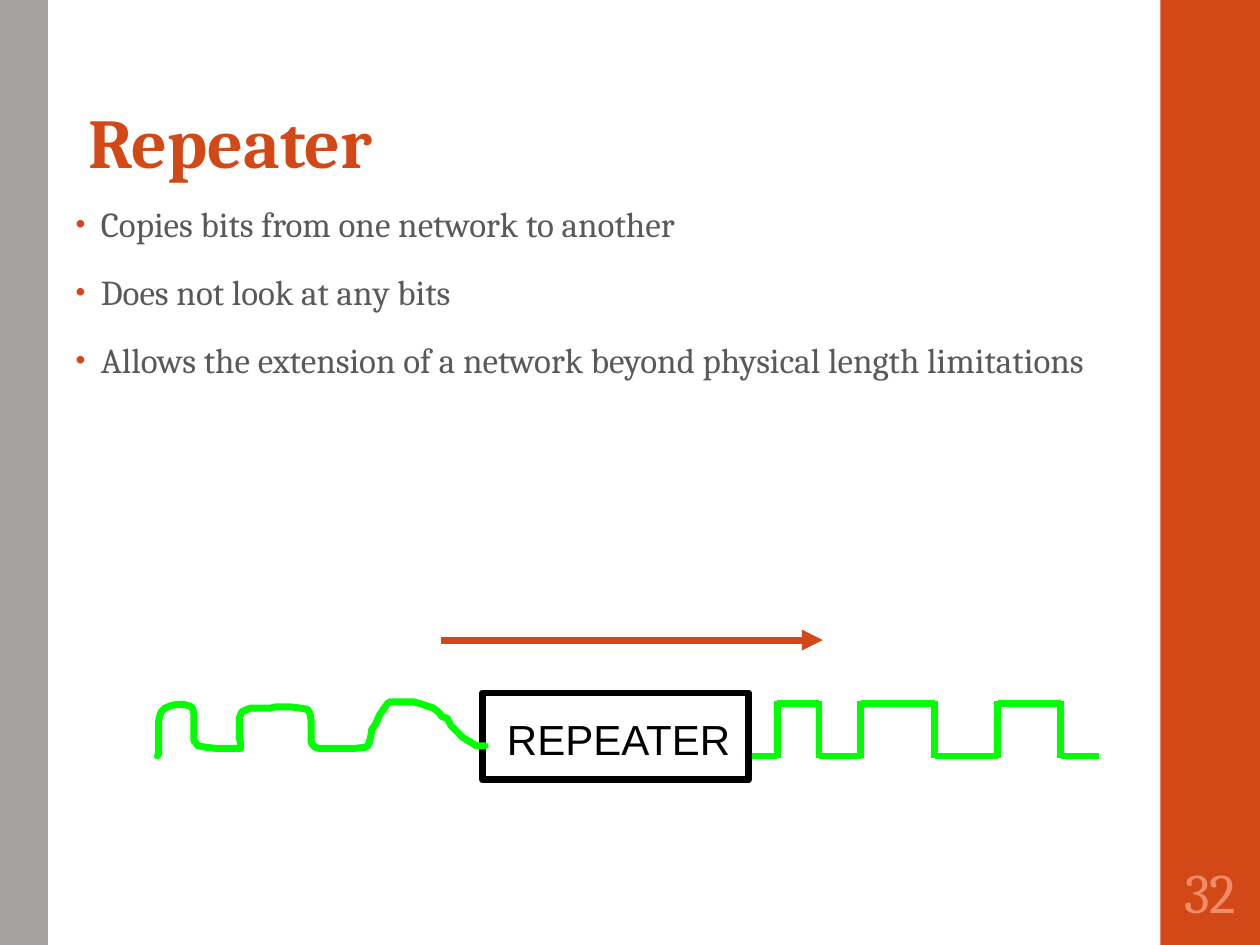
"""Build the slide that explains what a network repeater does."""
from lxml.etree import SubElement
from pptx import Presentation
from pptx.dml.color import RGBColor
from pptx.enum.shapes import MSO_CONNECTOR as Connector, MSO_SHAPE as Shape
from pptx.enum.text import MSO_ANCHOR as Anchor, MSO_AUTO_SIZE as AutoSize, PP_ALIGN as Align
from pptx.oxml.ns import qn
from pptx.util import Inches, Pt

ORANGE = RGBColor(0xD3, 0x48, 0x17)
PEACH = RGBColor(0xEF, 0x8C, 0x6A)
GRAY = RGBColor(0xA6, 0xA1, 0xA1)
TEXT = RGBColor(0x59, 0x59, 0x59)
GREEN = RGBColor(0x00, 0xFF, 0x00)
BLACK = RGBColor(0x00, 0x00, 0x00)
WHITE = RGBColor(0xFF, 0xFF, 0xFF)

BULLETS = [
    "Copies bits from one network to another",
    "Does not look at any bits",
    "Allows the extension of a network beyond physical length limitations",
]
WORN_SIGNAL = [
    (125, 600), (126, 598), (126, 572), (127, 568), (128, 565), (131, 562), (136, 560),
    (141, 559), (146, 559), (152, 561), (153, 563), (154, 566), (154, 588), (156, 590),
    (157, 592), (163, 593), (171, 594), (191, 594), (191, 589), (190, 586), (190, 570),
    (192, 565), (194, 564), (199, 562), (215, 562), (219, 561), (230, 561), (238, 562),
    (244, 563), (246, 566), (247, 572), (247, 589), (248, 591), (250, 593), (253, 594),
    (282, 594), (291, 593), (293, 590), (295, 581), (295, 579), (298, 575), (301, 568),
    (305, 562), (308, 558), (310, 557), (328, 557), (335, 559), (344, 562), (349, 566),
    (351, 569), (355, 570), (358, 576), (362, 580), (367, 585), (375, 590), (378, 592),
    (385, 592), (383, 592),
]
PULSE_EDGES = [6.17, 6.5, 6.83, 7.42, 7.92, 8.42]
SIGNAL_START, SIGNAL_END = 5.97, 8.72
HIGH, LOW, OVERLAP = 5.58, 6.0, 0.02


class SlideBuilder:
    """Hold the slide style and draw each kind of element on the page."""

    font = "Cambria"
    stroke = Pt(4)

    def __init__(self, page):
        """Keep the page that receives the elements."""
        self.page = page

    def place(self, shape, left, top, width, height):
        """Move and size a shape in inches."""
        shape.left, shape.top = Inches(left), Inches(top)
        shape.width, shape.height = Inches(width), Inches(height)

    def style(self, para, size, color, font=None, bold=False):
        """Format every run of a paragraph."""
        for span in para.runs:
            span.font.name = font or self.font
            span.font.size = Pt(size)
            span.font.color.rgb = color
            span.font.bold = bold

    def title(self, text, *frame):
        """Fill the title placeholder."""
        box = self.page.shapes.title
        self.place(box, *frame)
        box.text_frame.text = text
        box.text_frame.auto_size = AutoSize.NONE
        box.text_frame.vertical_anchor = Anchor.BOTTOM
        para = box.text_frame.paragraphs[0]
        para.alignment, para.line_spacing = Align.LEFT, 0.9
        self.style(para, 40, ORANGE, bold=True)

    def bullets(self, lines, *frame):
        """Fill the body placeholder with a bulleted list."""
        box = self.page.placeholders[1]
        self.place(box, *frame)
        box.text_frame.text = "\n".join(lines)
        box.text_frame.auto_size = AutoSize.NONE
        for index, para in enumerate(box.text_frame.paragraphs):
            para.line_spacing = 0.95
            para.space_before = Pt(14 if index else 0)
            para.space_after = Pt(2)
            props = para._p.get_or_add_pPr()
            props.set("marL", str(Inches(0.2)))
            props.set("indent", str(-Inches(0.2)))
            color = SubElement(props, qn("a:buClr"))
            SubElement(color, qn("a:srgbClr"), val=str(ORANGE))
            SubElement(props, qn("a:buSzPct"), val="80000")
            SubElement(props, qn("a:buFont"), typeface="Arial")
            SubElement(props, qn("a:buChar"), char="•")
            self.style(para, 20, TEXT)

    def rectangle(self, *frame, fill=None, line=None):
        """Draw a rectangle with an optional fill and outline."""
        shape = self.page.shapes.add_shape(Shape.RECTANGLE, *map(Inches, frame))
        shape.shadow.inherit = False
        if fill is None:
            shape.fill.background()
        else:
            shape.fill.solid()
            shape.fill.fore_color.rgb = fill
        if line is None:
            shape.line.fill.background()
        else:
            shape.line.color.rgb = line
            shape.line.width = self.stroke

    def label(self, text, *frame, size, color, font=None, fill=None, side=0.1, wrap=True):
        """Write a one-line centred text box."""
        box = self.page.shapes.add_textbox(*map(Inches, frame))
        if fill is not None:
            box.fill.solid()
            box.fill.fore_color.rgb = fill
        box.text_frame.text = text
        box.text_frame.word_wrap = wrap
        box.text_frame.vertical_anchor = Anchor.MIDDLE
        box.text_frame.margin_left = box.text_frame.margin_right = Inches(side)
        para = box.text_frame.paragraphs[0]
        para.alignment = Align.CENTER
        self.style(para, size, color, font)

    def line(self, *ends, color, arrow=False):
        """Draw a straight line, with an arrowhead if asked."""
        line = self.page.shapes.add_connector(Connector.STRAIGHT, *map(Inches, ends))
        line.line.color.rgb = color
        line.line.width = self.stroke
        if arrow:
            SubElement(line.line._get_or_add_ln(), qn("a:tailEnd"), type="triangle")
        SubElement(line._element.spPr, qn("a:effectLst"))

    def curve(self, points, color):
        """Draw an open outline through points in hundredths of an inch."""
        builder = self.page.shapes.build_freeform(*points[0], scale=Inches(0.01))
        builder.add_line_segments(points[1:], close=False)
        shape = builder.convert_to_shape()
        shape.shadow.inherit = False
        shape.fill.background()
        shape.line.color.rgb = color
        shape.line.width = self.stroke
        outline = shape.line._get_or_add_ln()
        outline.set("cap", "rnd")
        SubElement(outline, qn("a:round"))

    def square_wave(self, start, edges, end, color):
        """Draw a clean signal that switches level at each edge."""
        for edge in edges:
            self.line(edge, LOW + OVERLAP, edge, HIGH - OVERLAP, color=color)
        stops = [start, *edges, end]
        for index, (left, right) in enumerate(zip(stops, stops[1:])):
            level = HIGH if index % 2 else LOW
            self.line(left, level, right, level, color=color)


def main():
    """Build and save the deck."""
    deck = Presentation()
    deck.slide_width, deck.slide_height = Inches(10), Inches(7.5)
    slide = SlideBuilder(deck.slides.add_slide(deck.slide_layouts[1]))
    slide.rectangle(9.21, 0, 0.8, 7.5, fill=ORANGE)
    slide.rectangle(0, 0, 0.38, 7.5, fill=GRAY)
    slide.title("Repeater", 0.6, 0.06, 7.95, 1.45)
    slide.bullets(BULLETS, 0.5, 1.58, 9, 3.33)
    slide.rectangle(3.83, 5.5, 2.11, 0.69, line=BLACK)
    slide.label("REPEATER", 3.91, 5.61, 2, 0.5, size=24, color=BLACK,
                font="Arial", fill=WHITE, wrap=False)
    slide.curve(WORN_SIGNAL, GREEN)
    slide.square_wave(SIGNAL_START, PULSE_EDGES, SIGNAL_END, GREEN)
    slide.line(3.5, 5.08, 6.53, 5.08, color=ORANGE, arrow=True)
    slide.label("32", 9.23, 6.75, 0.75, 0.65, size=32, color=PEACH, side=0.03)
    deck.save("out.pptx")


if __name__ == "__main__":
    main()
